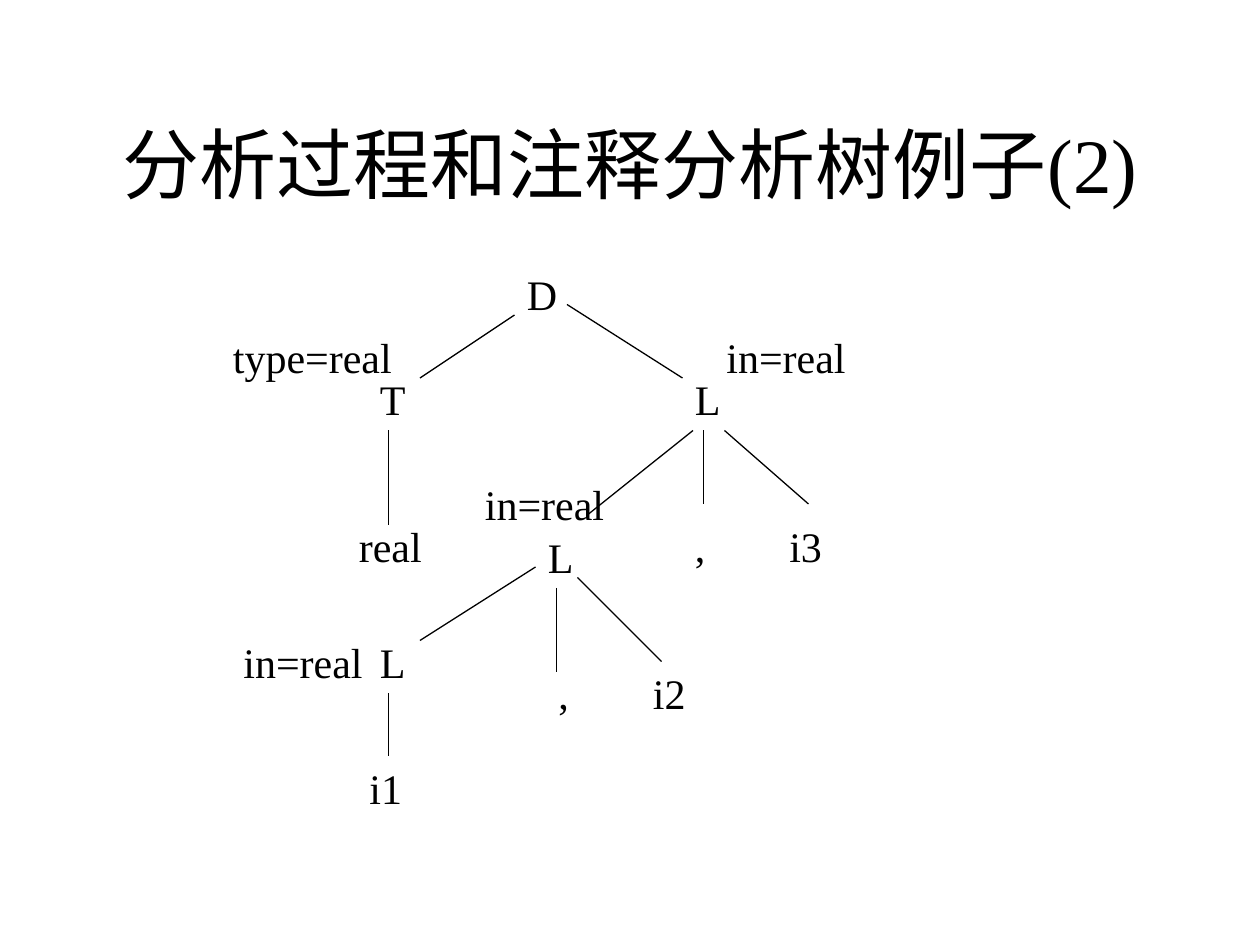
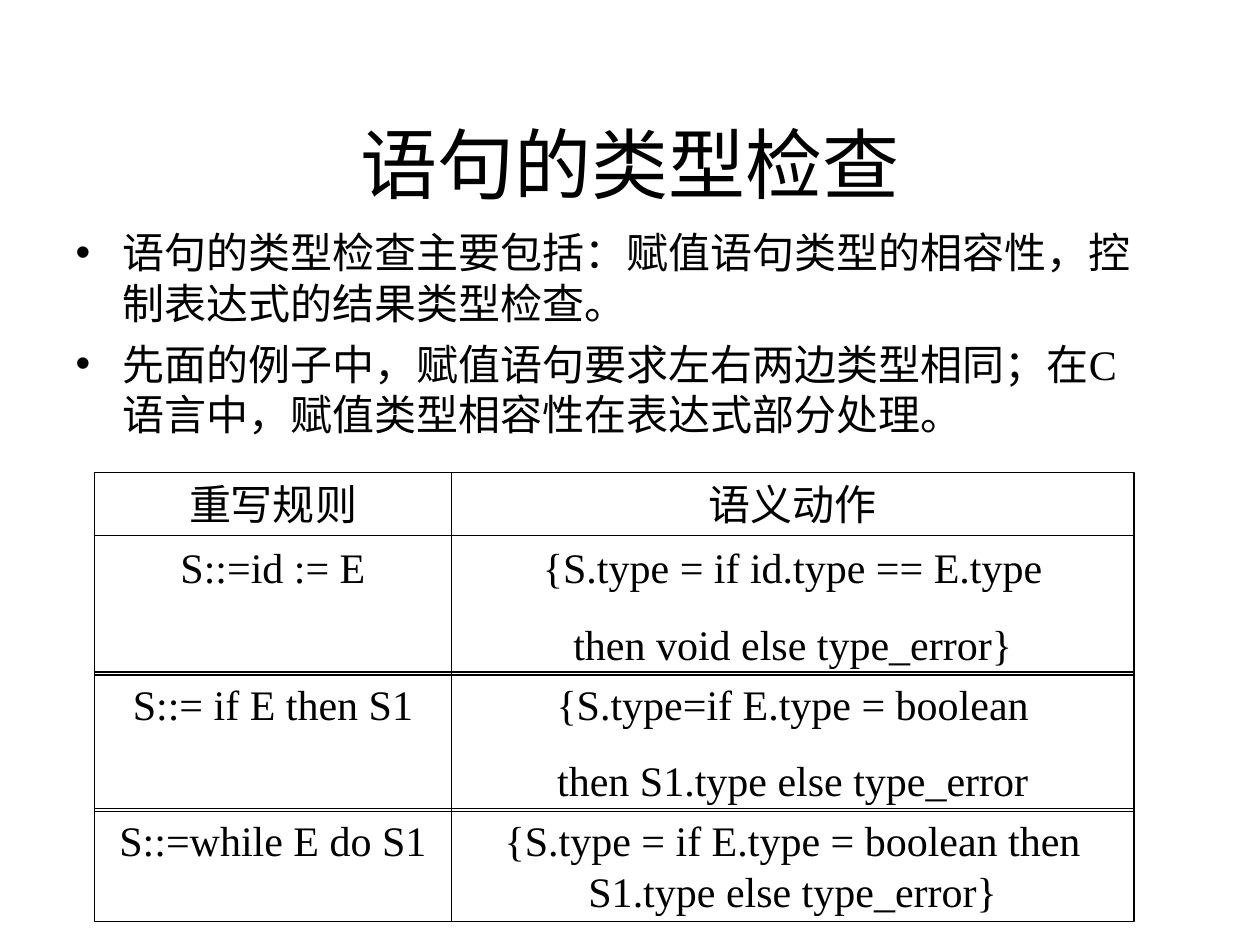
"""Builds two slides: an annotated parse tree and the type checking of statements."""
from lxml.etree import SubElement as Sub
from pptx import Presentation
from pptx.dml.color import RGBColor as Rgb
from pptx.enum.shapes import MSO_CONNECTOR as Conn, MSO_SHAPE as Kind
from pptx.enum.text import MSO_ANCHOR as Anchor, MSO_AUTO_SIZE as Auto, PP_ALIGN as Align
from pptx.oxml.ns import qn
from pptx.util import Pt

PX = 7620
FONT = "Times New Roman"
COLORS = {"ink": "000000", "page": "FFFFFF"}
INK = Rgb.from_string(COLORS["ink"])


def style(frame, size=24, align=Align.LEFT, gap=0):
    """Format every paragraph, with a gap in points between them."""
    for i, para in enumerate(frame.paragraphs):
        para.alignment = align
        para.space_before = Pt(gap if i else 0)
        para.font.size = Pt(size)
        para.font.name = FONT
        para.font.color.rgb = INK


def place(shape, left, top, width, height):
    """Set the box of a shape in px."""
    shape.left, shape.top = left * PX, top * PX
    shape.width, shape.height = width * PX, height * PX


deck = Presentation()
deck.slide_width, deck.slide_height = 1200 * PX, 900 * PX
fill = deck.slide_master.background.fill
fill.solid()
fill.fore_color.rgb = Rgb.from_string(COLORS["page"])

slides = []
for layout, text in [(5, "分析过程和注释分析树例子(2)"), (1, "语句的类型检查")]:
    slide = deck.slides.add_slide(deck.slide_layouts[layout])
    title = slide.shapes.title
    place(title, 90, 80, 1020, 150)
    title.text_frame.text = text
    title.text_frame.auto_size = Auto.NONE
    title.text_frame.vertical_anchor = Anchor.MIDDLE
    style(title.text_frame, 44, Align.CENTER)
    slides.append(slide)
tree, check = slides

EDGES = [
    (490, 300, 400, 360), (540, 290, 650, 360), (370, 410, 370, 500),
    (660, 410, 560, 490), (670, 410, 670, 480), (690, 410, 770, 480),
    (510, 540, 400, 610), (550, 550, 630, 630), (530, 560, 530, 640),
    (370, 660, 370, 720),
]
for edge in EDGES:
    line = tree.shapes.add_connector(Conn.STRAIGHT, *[v * PX for v in edge])
    line.line.color.rgb = INK
    line.line.width = Pt(0.75)
    Sub(line._element.spPr, qn("a:effectLst"))

NODES = [
    ("D", 490, 250, 70), ("T", 350, 350, 80), ("L", 650, 350, 120),
    ("real", 330, 490, 110), (",\ti3", 650, 490, 170), ("L", 510, 500, 130),
    ("L", 350, 600, 60), (",\ti2", 520, 630, 160), ("i1", 340, 720, 70),
    ("type=real", 210, 310, 220), ("in=real", 680, 310, 160),
    ("in=real", 450, 450, 160), ("in=real", 220, 600, 180),
]
for text, left, top, width in NODES:
    box = tree.shapes.add_textbox(left * PX, top * PX, width * PX, 60 * PX)
    frame = box.text_frame
    frame.word_wrap = True
    frame.text = text
    if "\t" in text:
        tabs = Sub(frame.paragraphs[0]._p.get_or_add_pPr(), qn("a:tabLst"))
        Sub(tabs, qn("a:tab"), pos=str(90 * PX), algn="l")
    style(frame)

body = check.placeholders[1]
place(body, 60, 210, 1030, 230)
body.text_frame.text = (
    "语句的类型检查主要包括：赋值语句类型的相容性，控制表达式的结果类型检查。\n"
    "先面的例子中，赋值语句要求左右两边类型相同；在C语言中，赋值类型相容性在表达式部分处理。"
)
body.text_frame.auto_size = Auto.NONE
style(body.text_frame, gap=6)

COLS = [(90, 340), (430, 650)]
RULES = [
    (450, 60, "重写规则", "语义动作"),
    (510, 133, "S::=id := E", "{S.type = if id.type == E.type\nthen void else type_error}"),
    (640, 133, "S::= if E then S1", "{S.type=if E.type = boolean\nthen S1.type else type_error"),
    (770, 108, "S::=while E do S1", "{S.type = if E.type = boolean then S1.type else type_error}"),
]
for top, height, *texts in RULES:
    for (left, width), text in zip(COLS, texts):
        cell = check.shapes.add_shape(Kind.RECTANGLE, 0, 0, 0, 0)
        place(cell, left, top, width, height)
        cell.shadow.inherit = False
        cell.fill.background()
        cell.line.color.rgb = INK
        cell.line.width = Pt(0.75)
        cell.text_frame.word_wrap = True
        cell.text_frame.vertical_anchor = Anchor.TOP
        cell.text_frame.text = text
        style(cell.text_frame, align=Align.CENTER, gap=15)

deck.save("out.pptx")
